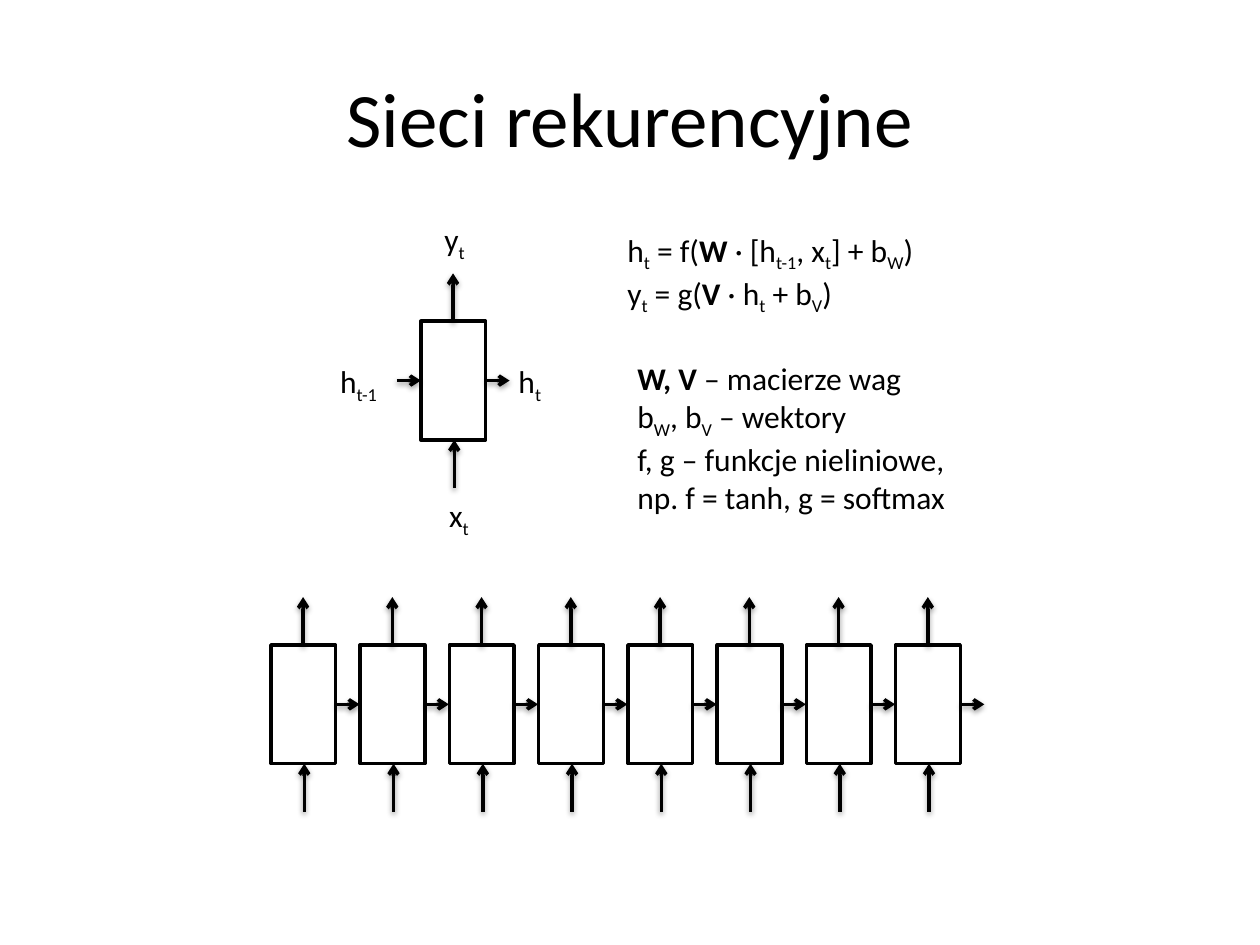
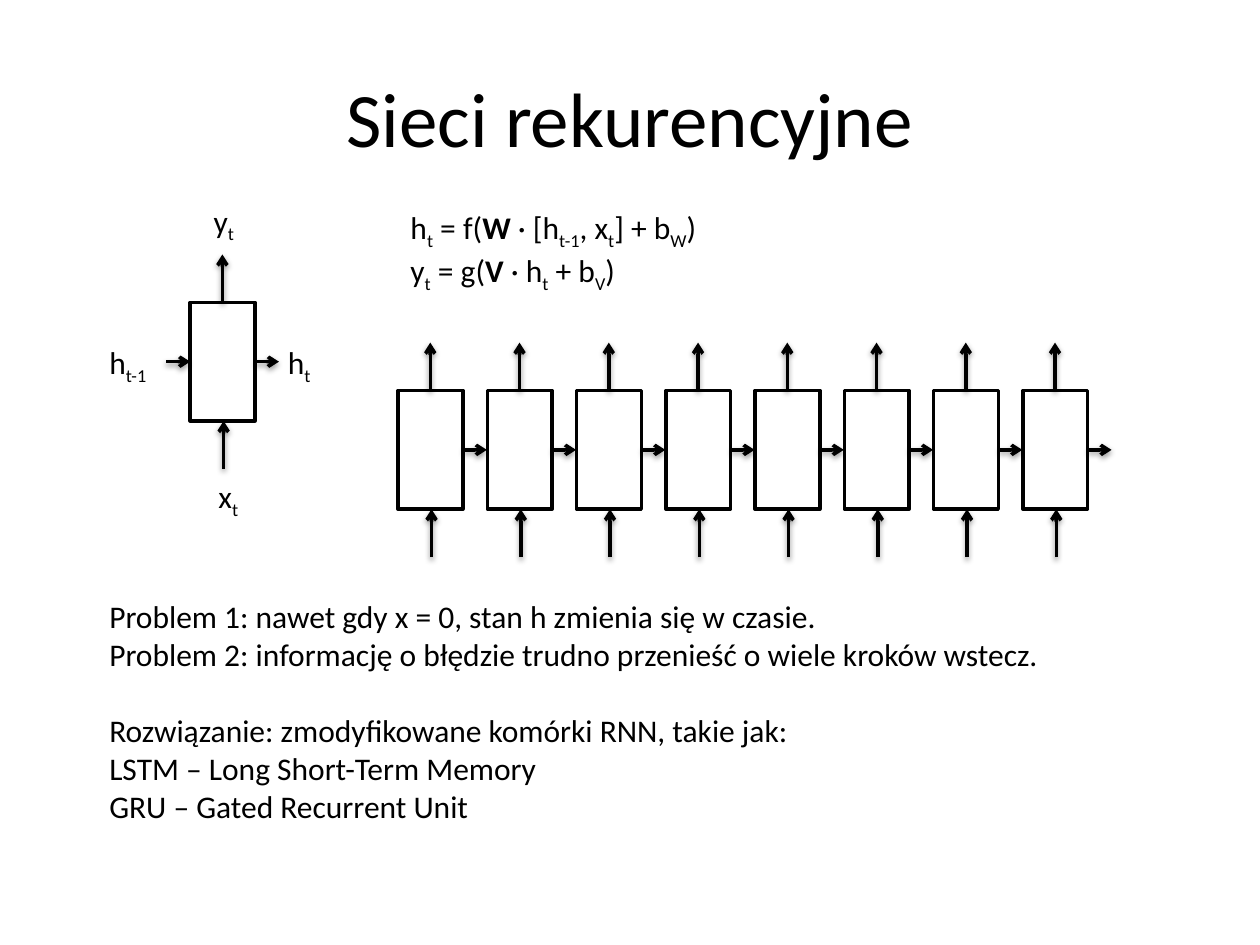
"""Build two slides on recurrent neural networks."""
import lxml.etree
import pptx
import pptx.dml.color
import pptx.enum.shapes
import pptx.enum.text
import pptx.oxml
import pptx.oxml.ns
import pptx.util

Pt = pptx.util.Pt
COLOURS = {"ink": "000000", "paper": "FFFFFF"}
INK = pptx.dml.color.RGBColor.from_string(COLOURS["ink"])
PAPER = pptx.dml.color.RGBColor.from_string(COLOURS["paper"])
FONT = "Calibri"
TITLE = "Sieci rekurencyjne"

CELL_WIDTH, CELL_HEIGHT = 37, 67.8
MIDDLE = CELL_HEIGHT / 2
LONG_ARROW, SHORT_ARROW = 27.4, 13.7
CHAIN_LENGTH, CHAIN_PITCH = 8, 51

OUTPUT_ARROW = (18.4, 0, 18.4, -LONG_ARROW)
INPUT_ARROW = (19.1, CELL_HEIGHT + LONG_ARROW, 19.1, CELL_HEIGHT)
NEXT_ARROW = (CELL_WIDTH, MIDDLE, CELL_WIDTH + SHORT_ARROW, MIDDLE)
PREVIOUS_ARROW = (-SHORT_ARROW, MIDDLE, 0, MIDDLE)
CHAIN_ARROWS = [OUTPUT_ARROW, INPUT_ARROW, NEXT_ARROW]

CELL_LABELS = [
    ("x|_t", 9, 96.5, 37),
    ("y|_t", 6.3, -61.2, 37),
    ("h|_t-1", -53.3, 19.5, 51),
    ("h|_t", 48.7, 19.5, 51),
]
EQUATIONS = [
    "h|_t| = f(|*W |· [h|_t-1|, x|_t|] + b|_W|)",
    "y|_t| = g(|*V |· h|_t| + b|_V|)",
]
SYMBOLS = [
    "*W, V |– macierze wag",
    "b|_W|, b|_V| – wektory",
    "f, g – funkcje nieliniowe,|\n|np. f = tanh, g = softmax",
]
PROBLEMS = [
    "Problem 1: nawet gdy x = 0, stan h zmienia się w czasie.",
    "Problem 2: informację o błędzie trudno przenieść o wiele kroków wstecz.",
]
SOLUTIONS = [
    "Rozwiązanie: zmodyfikowane komórki RNN, takie jak:",
    "LSTM – Long Short-Term Memory",
    "GRU – Gated Recurrent Unit",
]
SHADOW = (
    f'<a:effectLst {pptx.oxml.ns.nsdecls("a")}>'
    '<a:outerShdw blurRad="40000" dist="20000" dir="5400000" rotWithShape="0">'
    f'<a:srgbClr val="{COLOURS["ink"]}"><a:alpha val="38000"/></a:srgbClr>'
    "</a:outerShdw></a:effectLst>"
)


def add_text(shapes, lines, left, top, width, height, size=18):
    """Add a text box; pieces between bars start with _ if lowered, * if bold."""
    box = shapes.add_textbox(Pt(left), Pt(top), Pt(width), Pt(height))
    frame = box.text_frame
    frame.word_wrap = True
    frame.auto_size = pptx.enum.text.MSO_AUTO_SIZE.SHAPE_TO_FIT_TEXT
    for index, line in enumerate(lines):
        para = frame.add_paragraph() if index else frame.paragraphs[0]
        for piece in line.split("|"):
            if piece == "\n":
                para.add_line_break()
                continue
            span = para.add_run()
            span.text = piece.lstrip("_*")
            span.font.name = FONT
            span.font.size = Pt(size)
            span.font.color.rgb = INK
            span.font.bold = piece.startswith("*")
            if piece.startswith("_"):
                span.font._element.set("baseline", "-25000")
    return box


def add_cell(shapes, left, top, arrows):
    """Add one network cell with its arrows, given relative to its corner."""
    cell = shapes.add_shape(
        pptx.enum.shapes.MSO_SHAPE.RECTANGLE,
        Pt(left), Pt(top), Pt(CELL_WIDTH), Pt(CELL_HEIGHT),
    )
    cell.shadow.inherit = False
    cell.fill.solid()
    cell.fill.fore_color.rgb = PAPER
    cell.line.color.rgb = INK
    cell.line.width = Pt(2)
    for start_x, start_y, end_x, end_y in arrows:
        arrow = shapes.add_connector(
            pptx.enum.shapes.MSO_CONNECTOR.STRAIGHT,
            Pt(left + start_x), Pt(top + start_y), Pt(left + end_x), Pt(top + end_y),
        )
        arrow.line.color.rgb = INK
        arrow.line.width = Pt(2)
        outline = arrow.line._get_or_add_ln()
        lxml.etree.SubElement(outline, pptx.oxml.ns.qn("a:tailEnd"), type="arrow")
        arrow._element.spPr.append(pptx.oxml.parse_xml(SHADOW))


deck = pptx.Presentation()
deck.slide_width, deck.slide_height = Pt(720), Pt(540)

pages = []
for cell_corner, equations_corner, chain_corner in [
    ((240.5, 183.6), (351.4, 128.2), (154.8, 368.6)),
    ((108.7, 172.8), (227.5, 115.2), (227.5, 223.2)),
]:
    page = deck.slides.add_slide(deck.slide_layouts[6])
    pages.append(page)
    title = add_text(page.shapes, [TITLE], 36, 21.6, 648, 90, 44)
    title.text_frame.auto_size = pptx.enum.text.MSO_AUTO_SIZE.NONE
    title.text_frame.vertical_anchor = pptx.enum.text.MSO_ANCHOR.MIDDLE
    title.text_frame.paragraphs[0].alignment = pptx.enum.text.PP_ALIGN.CENTER

    left, top = cell_corner
    single = page.shapes.add_group_shape().shapes
    add_cell(single, left, top, CHAIN_ARROWS + [PREVIOUS_ARROW])
    for label, shift_x, shift_y, width in CELL_LABELS:
        add_text(single, [label], left + shift_x, top + shift_y, width, 29)

    add_text(page.shapes, EQUATIONS, *equations_corner, 227, 65.5)

    left, top = chain_corner
    chain = page.shapes.add_group_shape().shapes
    for step in range(CHAIN_LENGTH):
        add_cell(chain, left + step * CHAIN_PITCH, top, CHAIN_ARROWS)

add_text(pages[0].shapes, SYMBOLS, 357.1, 201.6, 193, 94.5)
notes = add_text(pages[1].shapes, PROBLEMS + SOLUTIONS, 55.4, 337.7, 548, 138)
notes.text_frame.paragraphs[len(PROBLEMS)].space_before = Pt(22)

deck.save("out.pptx")
